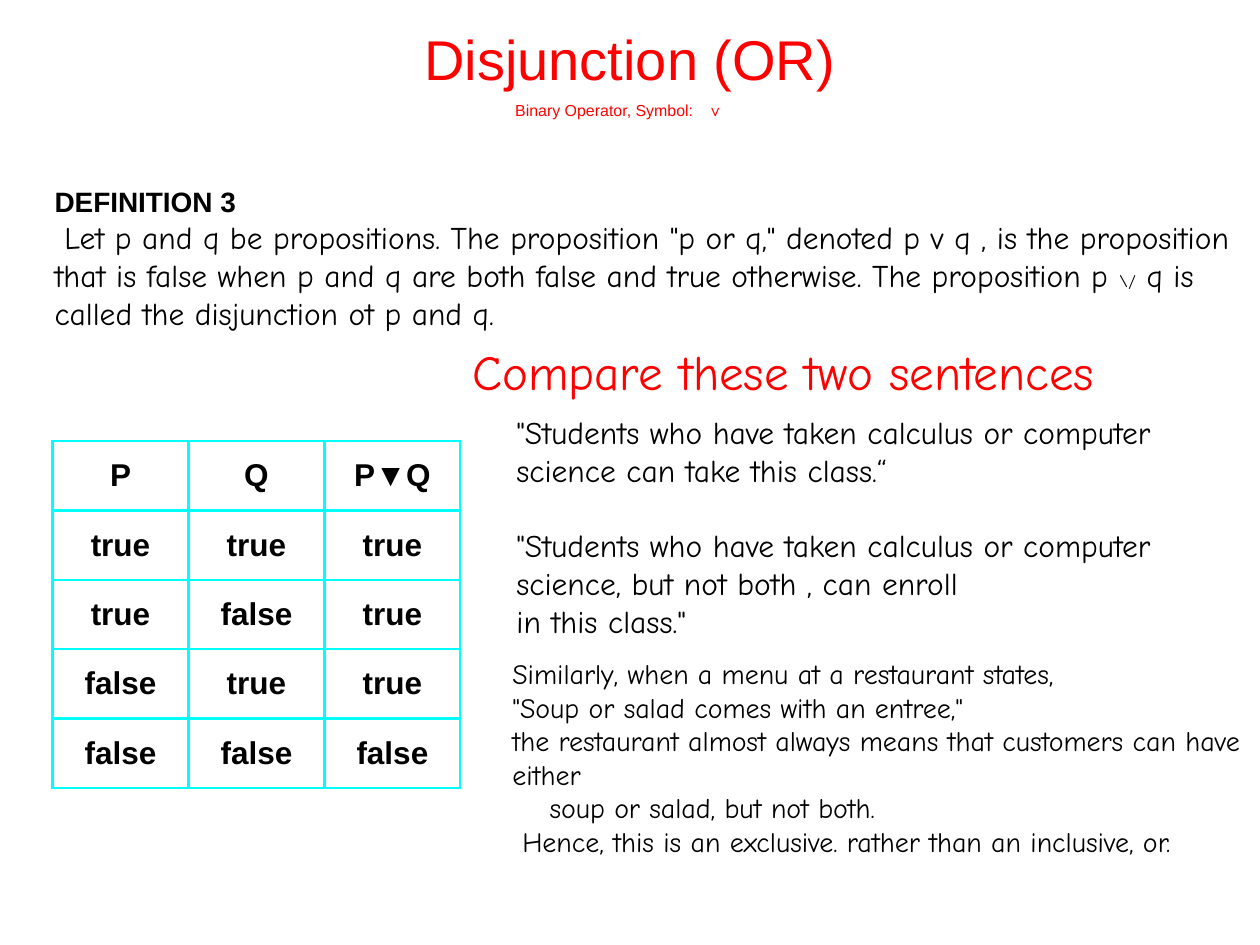
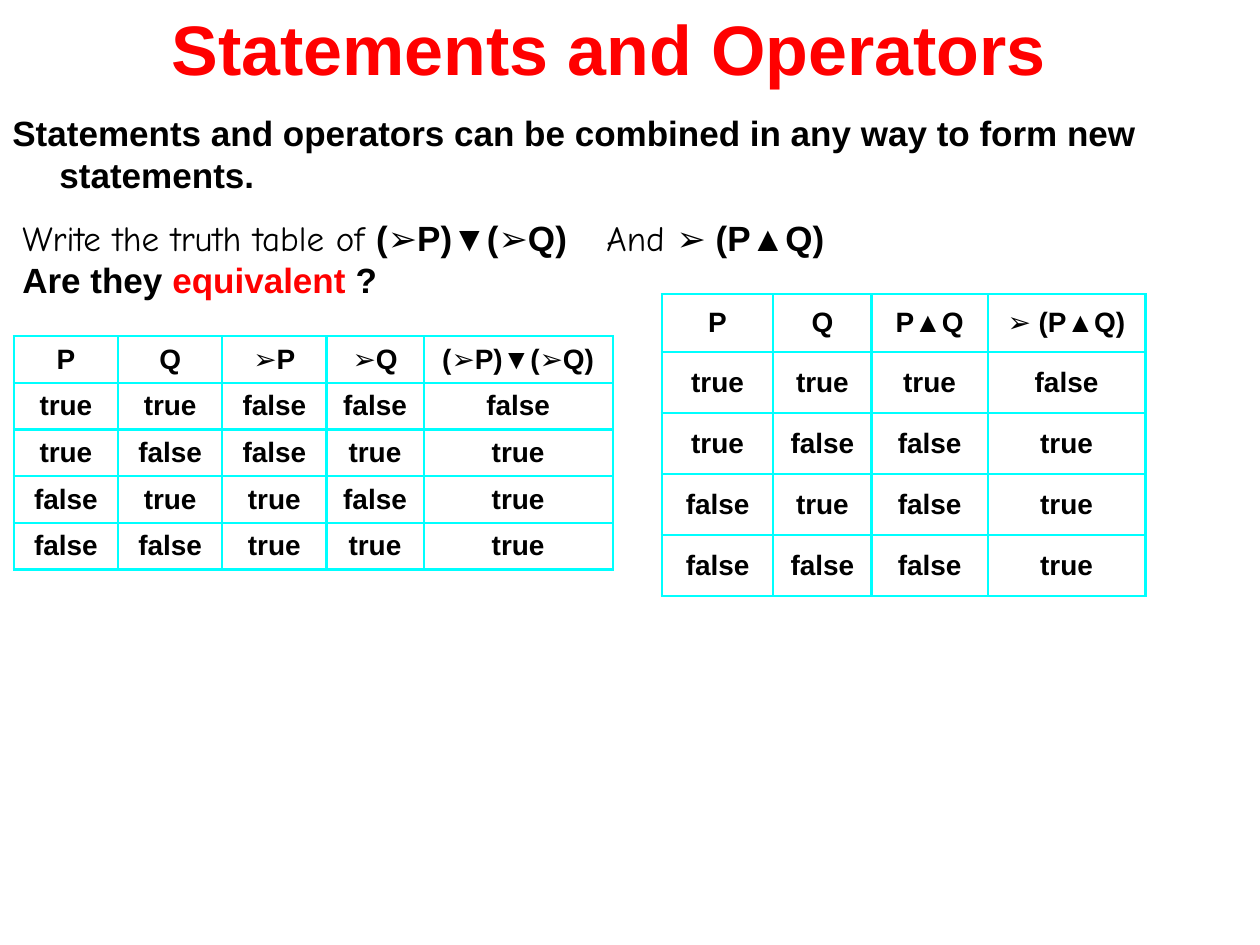
from itertools import product

from lxml.etree import SubElement
from pptx import Presentation
from pptx.dml.color import RGBColor
from pptx.enum.text import MSO_ANCHOR as Anchor, PP_ALIGN as Align
from pptx.oxml.ns import qn
from pptx.util import Cm, Pt

from_hex = RGBColor.from_string
RED, BLACK, CYAN = "FF0000", "000000", "00FFFF"
SANS, HAND = "Arial", "Comic Neue"


def add_text(page, place, paragraphs, size, font=SANS, color=BLACK, bold=False,
             align=Align.LEFT, anchor=Anchor.TOP):
    """Add a text box; a paragraph is a list of (text, overrides) spans."""
    box = page.shapes.add_textbox(*map(Cm, place))
    frame = box.text_frame
    frame.word_wrap = True
    frame.vertical_anchor = anchor
    for number, spans in enumerate(paragraphs):
        para = frame.paragraphs[0] if number == 0 else frame.add_paragraph()
        para.alignment = align
        para.font.size, para.font.name, para.font.bold = Pt(size), font, bold
        para.font.color.rgb = from_hex(color)
        for text, changes in spans:
            span = para.add_run()
            span.text = text
            if "size" in changes:
                span.font.size = Pt(changes["size"])
            if "font" in changes:
                span.font.name = changes["font"]
            if "bold" in changes:
                span.font.bold = changes["bold"]
            if "color" in changes:
                span.font.color.rgb = from_hex(changes["color"])
            if "gap" in changes:  # extra width after each letter, in points
                span.font._element.set("spc", str(int(changes["gap"] * 100)))
    return frame.paragraphs


def add_truth_table(page, left, top, widths, heights, columns, size):
    """Add a truth table; columns maps each heading to its rule for p and q."""
    rows = [list(columns)]
    for p, q in product([True, False], repeat=2):
        rows.append(["true" if rule(p, q) else "false" for rule in columns.values()])
    table = page.shapes.add_table(len(rows), len(columns), Cm(left), Cm(top),
                                  Cm(sum(widths)), Cm(sum(heights))).table
    table.first_row = table.horz_banding = False
    for column, width in zip(table.columns, widths):
        column.width = Cm(width)
    for row, height, values in zip(table.rows, heights, rows):
        row.height = Cm(height)
        for cell, value in zip(row.cells, values):
            cell.text = value
            cell.vertical_anchor = Anchor.MIDDLE
            para = cell.text_frame.paragraphs[0]
            para.alignment = Align.CENTER
            para.font.size, para.font.name, para.font.bold = Pt(size), SANS, True
            para.font.color.rgb = from_hex(BLACK)
            # Borders come before the fill in the cell properties
            properties = cell._tc.get_or_add_tcPr()
            for side in ("a:lnL", "a:lnR", "a:lnT", "a:lnB"):
                line = SubElement(properties, qn(side), w=str(Pt(1.47)))
                paint = SubElement(line, qn("a:solidFill"))
                SubElement(paint, qn("a:srgbClr"), val=CYAN)
            cell.fill.background()


deck = Presentation()
deck.slide_width, deck.slide_height = Cm(25.4), Cm(19.05)
blank = deck.slide_layouts[6]
title_style = dict(color=RED, align=Align.CENTER, anchor=Anchor.MIDDLE)
operands = {"P": lambda p, q: p, "Q": lambda p, q: q}

# Slide 1: disjunction
page = deck.slides.add_slide(blank)
add_text(page, (1.9, 0.64, 21.6, 1.06), [[("Disjunction (OR)", {})]], 32, **title_style)
add_text(page, (1.27, 1.9, 22.43, 0.64),
         [[("Binary Operator, Symbol:", {}), (" ", {"gap": 5.5}), ("∨", {"bold": True})]],
         9.1, color=RED, align=Align.CENTER)

add_truth_table(page, 1.06, 8.89, [2.74] * 3, [1.4] * 5,
                {**operands, "P▼Q": lambda p, q: p or q}, 18)

# Definition, with its first line set in a little
definition = add_text(page, (0.85, 3.6, 24.55, 3.3), [
    [("DEFINITION 3", {"size": 16, "font": SANS, "bold": True})],
    [('Let p and q be propositions. The proposition "p or q," denoted p v q , is the '
      "proposition that is false when p and q are both false and true otherwise. "
      "The proposition p ", {}),
     ("\\/", {"size": 10}),
     (" q is called the disjunction ot p and q.", {})],
], 18, HAND)
definition[1]._p.get_or_add_pPr().set("indent", str(Cm(0.2)))

# Two sentences to compare
sentences = add_text(page, (10.16, 8.2, 15.24, 4.83), [
    [('"Students who have taken calculus or computer science can take this class.“', {})],
    [('"Students who have taken calculus or computer science, but not both , can enroll', {})],
    [('in this class."', {})],
], 18, HAND)
sentences[1].space_before = Pt(21.5)
add_text(page, (9.27, 6.76, 17.63, 1.45), [[("Compare these two sentences", {})]],
         28, HAND, RED)

# Restaurant example, last two lines set in
example = add_text(page, (10.08, 13.11, 16.08, 4.32), [
    [("Similarly, when a menu at a restaurant states,", {})],
    [('"Soup or salad comes with an entree,"', {})],
    [("the restaurant almost always means that customers can have either", {})],
    [("soup or salad, but not both.", {})],
    [("Hence, this is an exclusive. rather than an inclusive, or.", {})],
], 16, HAND)
for para, inset in zip(example[3:], (0.75, 0.2)):
    para._p.get_or_add_pPr().set("indent", str(Cm(inset)))

# Slide 2: combining statements
page = deck.slides.add_slide(blank)
add_text(page, (1.47, 0, 21.6, 1.9), [[("Statements and Operators", {})]], 40,
         bold=True, **title_style)
intro = add_text(page, (0, 2.12, 25.4, 2.1), [
    [("Statements and operators can be combined in any way to form new statements.", {})],
], 20, bold=True)
properties = intro[0]._p.get_or_add_pPr()
properties.set("marL", str(Cm(0.95)))
properties.set("indent", str(Cm(-0.95)))

# Truth tables of the two statements
add_truth_table(page, 0.28, 6.78, [2.1, 2.1, 2.1, 1.96, 3.81], [0.94] * 5, {
    **operands,
    "➢P": lambda p, q: not p,
    "➢Q": lambda p, q: not q,
    "(➢P)▼(➢Q)": lambda p, q: not p or not q,
}, 16)
add_truth_table(page, 13.34, 5.93, [2.25, 1.98, 2.34, 3.18], [1.17] + [1.23] * 4, {
    **operands,
    "P▲Q": lambda p, q: p and q,
    "➢ (P▲Q)": lambda p, q: not (p and q),
}, 16)

# Question
hand = {"font": HAND, "bold": False}
add_text(page, (0.2, 4.24, 23.29, 2.8), [
    [("Write the truth table of ", hand), ("(➢P)▼(➢Q)", {}), (" ", {"gap": 17}),
     ("And ", hand), ("➢ (P▲Q)", {})],
    [("Are they ", {}), ("equivalent", {"color": RED}), (" ?", {})],
], 20, bold=True)

deck.save("out.pptx")
